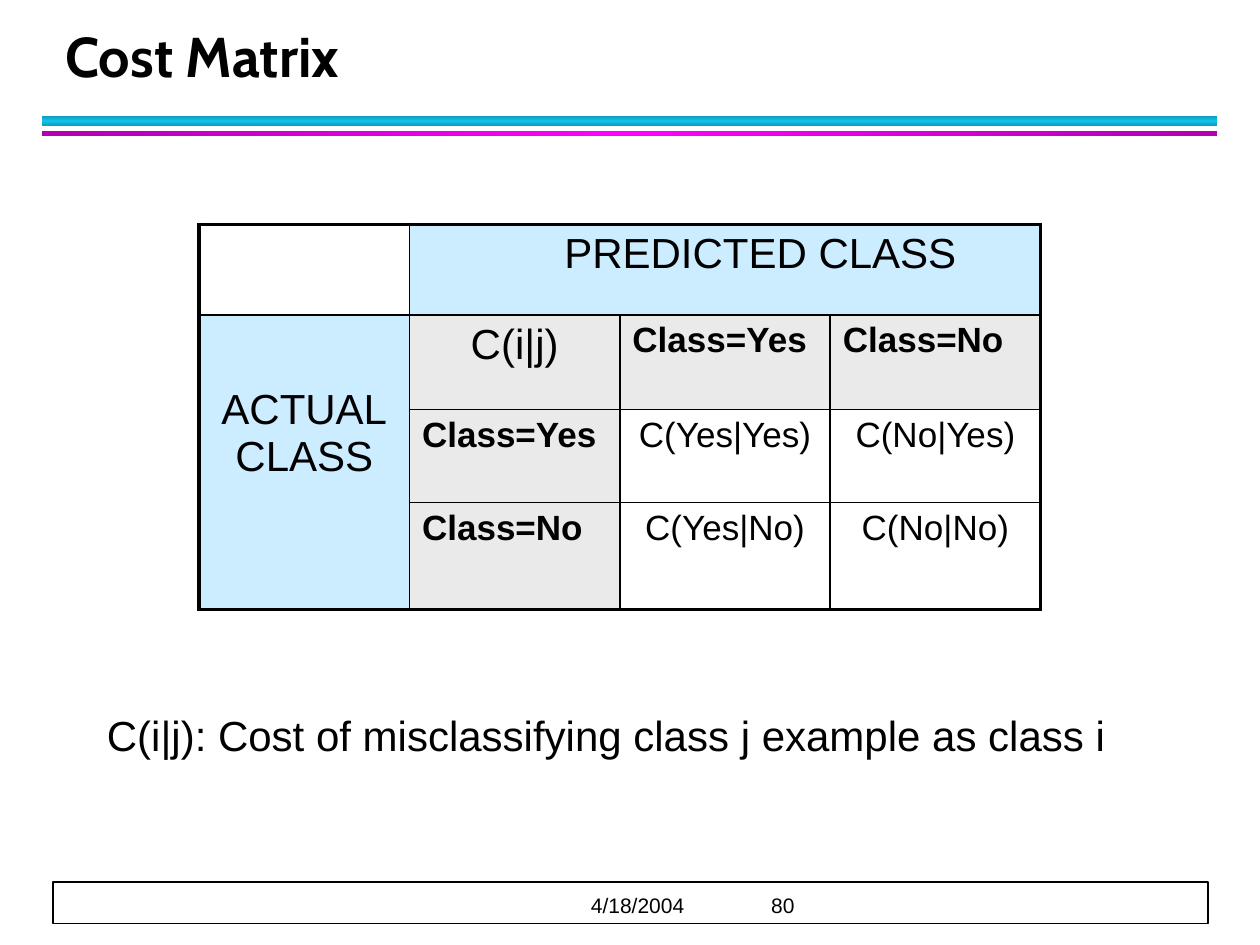
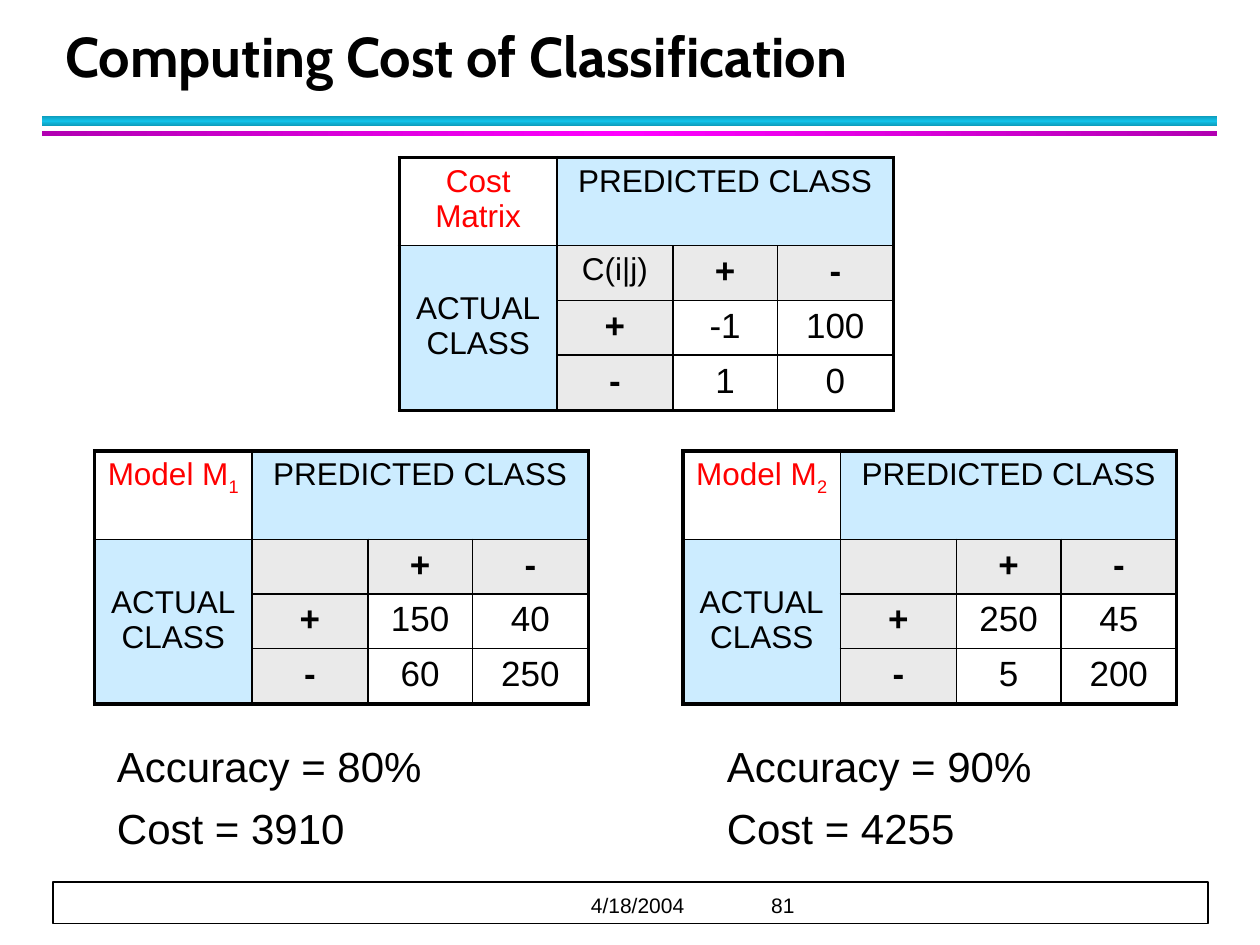
from copy import deepcopy

from lxml.etree import SubElement
from pptx import Presentation
from pptx.dml.color import RGBColor
from pptx.enum.shapes import MSO_SHAPE
from pptx.enum.text import MSO_ANCHOR, PP_ALIGN
from pptx.oxml.ns import qn
from pptx.util import Inches, Pt

BLACK = RGBColor(0x00, 0x00, 0x00)
WHITE = RGBColor(0xFF, 0xFF, 0xFF)
RED = RGBColor(0xFF, 0x00, 0x00)
SKY = RGBColor(0xCC, 0xEC, 0xFF)
GRAY = RGBColor(0xEA, 0xEA, 0xEA)
TEAL = RGBColor(0x0E, 0x9B, 0xBA)
CYAN = RGBColor(0x12, 0xC2, 0xE9)
PLUM = RGBColor(0xB2, 0x00, 0xB2)
PINK = RGBColor(0xFF, 0x00, 0xFF)

BODY = {"name": "Arial", "size": Pt(24), "bold": False}
TITLE = {"name": "Cabin", "size": Pt(32), "bold": True}
FOOT = {**BODY, "size": Pt(12)}
THIN, THICK = Pt(1), Pt(2.25)
ACTUAL = "ACTUAL\vCLASS"


class Deck:
    def __init__(self):
        self.prs = Presentation()
        self.prs.slide_width = Inches(10)
        self.prs.slide_height = Inches(7.5)
        self.slide = None

    def page(self, title, number):
        """Start a slide with its bands, footer and title."""
        self.slide = self.prs.slides.add_slide(self.prs.slide_layouts[6])
        self.band(0.92, 0.08, TEAL, CYAN, 90)
        self.band(1.04, 0.04, PLUM, PINK, 0)
        self.footer(f"\t4/18/2004\t{number}")
        frame = self.box(0.42, 0.17, 9.06, 0.58, MSO_ANCHOR.BOTTOM)
        para = frame.paragraphs[0]
        para.line_spacing = 1.12
        self.label(para, title, TITLE)

    def rect(self, left, top, width, height):
        shape = self.slide.shapes.add_shape(
            MSO_SHAPE.RECTANGLE, Inches(left), Inches(top), Inches(width), Inches(height))
        shape.shadow.inherit = False
        return shape

    def band(self, top, height, edge, core, angle):
        """Draw a rule that shades from edge to core and back."""
        shape = self.rect(0.33, top, 9.33, height)
        shape.line.fill.background()
        shape.fill.gradient()
        shape.fill.gradient_angle = angle
        first, last = shape.fill.gradient_stops
        first.position, first.color.rgb = 0, edge
        last.position, last.color.rgb = 0.5, core
        stops = shape._element.spPr.find(qn("a:gradFill")).find(qn("a:gsLst"))
        end = deepcopy(stops[0])
        end.set("pos", "100000")
        stops.append(end)

    def footer(self, text):
        shape = self.rect(0.42, 7, 9.17, 0.33)
        shape.fill.solid()
        shape.fill.fore_color.rgb = WHITE
        shape.line.color.rgb = BLACK
        shape.line.width = THIN
        frame = self.box(0.42, 7.03, 9.15, 0.3, MSO_ANCHOR.MIDDLE)
        for side in ("left", "right", "top", "bottom"):
            setattr(frame, f"margin_{side}", 0)
        para = frame.paragraphs[0]
        self.label(para, text, FOOT)
        tabs = SubElement(para._p.get_or_add_pPr(), qn("a:tabLst"))
        for stop in (4.27, 5.7):
            SubElement(tabs, qn("a:tab"), pos=str(Inches(stop)), algn="l")

    def box(self, left, top, width, height, anchor=MSO_ANCHOR.TOP):
        shape = self.slide.shapes.add_textbox(
            Inches(left), Inches(top), Inches(width), Inches(height))
        frame = shape.text_frame
        frame.word_wrap = True
        frame.vertical_anchor = anchor
        return frame

    def label(self, para, text, look, color=BLACK):
        para.text = text
        for run in para.runs:
            for key, value in look.items():
                setattr(run.font, key, value)
            run.font.color.rgb = color

    def notes(self, left, top, width, height, lines):
        """Add lines of body text with a hanging indent."""
        frame = self.box(left, top, width, height)
        for i, line in enumerate(lines):
            para = frame.add_paragraph() if i else frame.paragraphs[0]
            if i:
                para.space_before = Pt(6.4)
            self.label(para, line, BODY)
            props = para._p.get_or_add_pPr()
            props.set("marL", str(Inches(0.32)))
            props.set("indent", str(-Inches(0.32)))

    def border(self, cell, row, col):
        """Rule a cell: thick on the outside of the 4 by 4 grid, thin inside."""
        wide, high = (cell.span_width, cell.span_height) if cell.is_merge_origin else (1, 1)
        outer = {"L": col == 0, "R": col + wide == 4, "T": row == 0, "B": row + high == 4}
        props = cell._tc.get_or_add_tcPr()
        for side, thick in outer.items():
            line = SubElement(props, qn(f"a:ln{side}"), w=str(THICK if thick else THIN))
            fill = SubElement(line, qn("a:solidFill"))
            SubElement(fill, qn("a:srgbClr"), val=str(BLACK))

    def matrix(self, left, top, cols, rows, data, head, drop, align=PP_ALIGN.CENTER):
        """Build a class matrix; head sizes its headings, drop lowers the side label."""
        frame = self.slide.shapes.add_table(
            4, 4, Inches(left), Inches(top), Inches(sum(cols)), Inches(sum(rows)))
        table = frame.table
        table.first_row = table.horz_banding = False
        for col, width in zip(table.columns, cols):
            col.width = Inches(width)
        for row, height in zip(table.rows, rows):
            row.height = Inches(height)
        table.cell(0, 1).merge(table.cell(0, 3))
        table.cell(1, 0).merge(table.cell(3, 0))
        for r, values in enumerate(data):
            for c, text in enumerate(values):
                cell = table.cell(r, c)
                near = min(r, c)
                bold = near == 1 and (r, c) != (1, 1)
                self.border(cell, r, c)
                cell.fill.solid()
                cell.fill.fore_color.rgb = (
                    WHITE if r == c == 0 else (SKY, GRAY, WHITE, WHITE)[near])
                size = 20 if near and (r, c) != (1, 1) else head
                para = cell.text_frame.paragraphs[0]
                self.label(para, text, {**BODY, "size": Pt(size), "bold": bold},
                           RED if r == c == 0 else BLACK)
                para.alignment = align if bold else PP_ALIGN.CENTER
        table.cell(1, 0).margin_top = Inches(drop)
        return table

    def small(self, left, top, name, corner, counts, sub=None):
        """Build a compact matrix, with an optional subscript after its name."""
        data = [(name, "PREDICTED CLASS", "", ""), (ACTUAL, corner, "+", "-"),
                ("", "+", *counts[0]), ("", "-", *counts[1])]
        table = self.matrix(left, top, (1.25, 0.92, 0.83, 0.92),
                            (0.7, 0.43, 0.43, 0.44), data, 18, 0.36)
        if sub:
            para = table.cell(0, 0).text_frame.paragraphs[0]
            para._p.append(deepcopy(para.runs[0]._r))
            tail = para.runs[-1]
            tail.text = sub
            tail._r.get_or_add_rPr().set("baseline", "-25000")


def main():
    deck = Deck()
    deck.page("Cost Matrix", 80)
    data = [("", "PREDICTED CLASS", "", ""),
            (ACTUAL, "C(i|j)", "Class=Yes", "Class=No"),
            ("", "Class=Yes", "C(Yes|Yes)", "C(No|Yes)"),
            ("", "Class=No", "C(Yes|No)", "C(No|No)")]
    table = deck.matrix(1.58, 1.78, [1.67] * 4, (0.72, 0.75, 0.74, 0.85),
                        data, 24, 0.57, PP_ALIGN.LEFT)
    table.cell(0, 1).margin_left = Inches(0.66)
    deck.notes(0.75, 5.58, 8.58, 1,
               ["C(i|j): Cost of misclassifying class j example as class i"])

    deck.page("Computing Cost of Classification", 81)
    deck.small(3.17, 1.25, "Cost Matrix", "C(i|j)", [("-1", "100"), ("1", "0")])
    models = [(0.75, 0.83, "1", [("150", "40"), ("60", "250")], "80%", 3910),
              (5.42, 5.67, "2", [("250", "45"), ("5", "200")], "90%", 4255)]
    for left, edge, sub, counts, rate, cost in models:
        deck.small(left, 3.58, "Model M", "", counts, sub)
        deck.notes(edge, 5.83, 3.33, 1.08, [f"Accuracy = {rate}", f"Cost = {cost}"])
    deck.prs.save("out.pptx")


if __name__ == "__main__":
    main()
